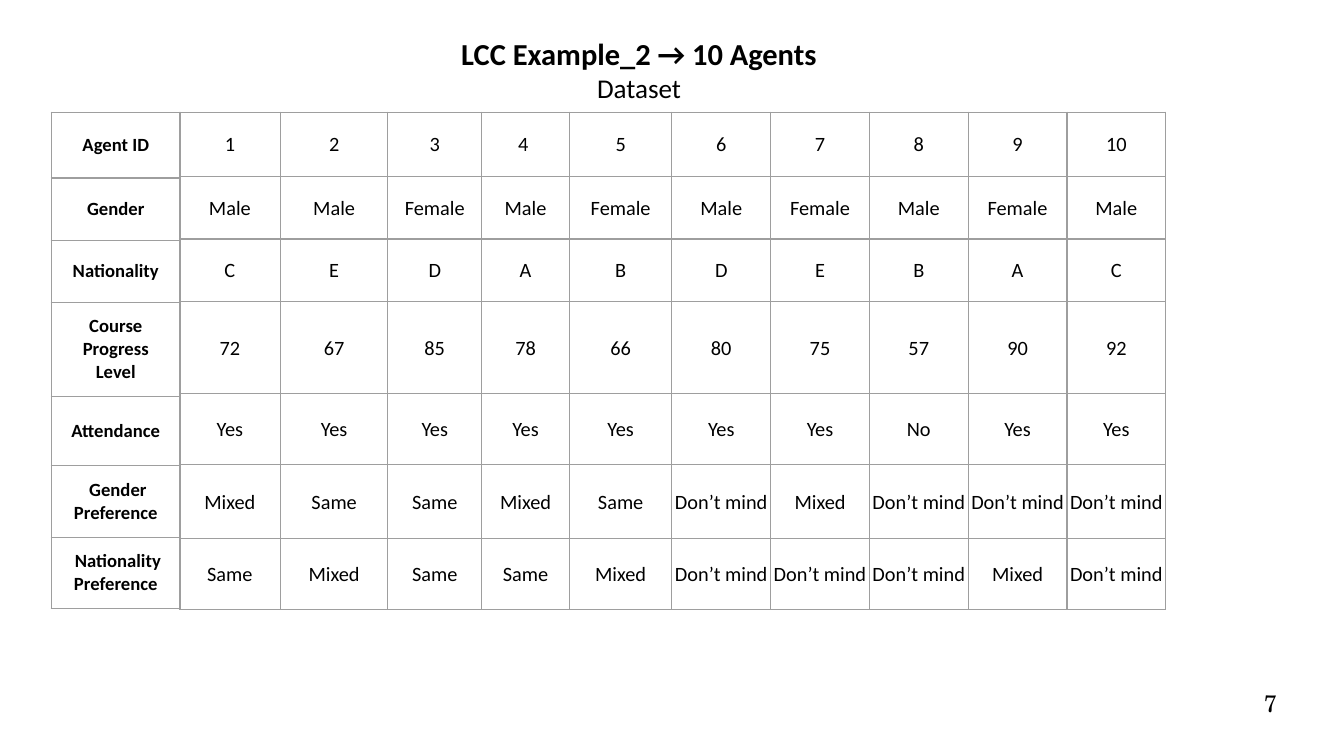
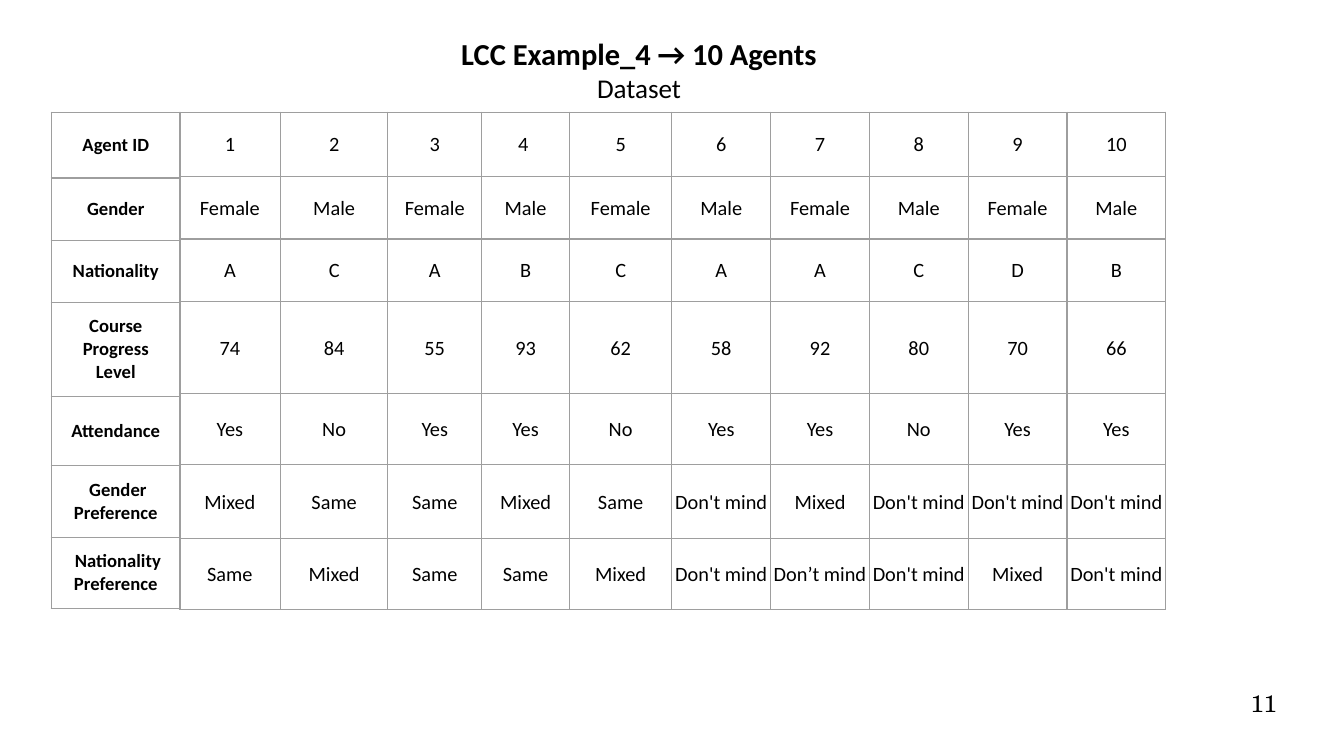
from dataclasses import dataclass

from lxml.etree import SubElement
from pptx import Presentation
from pptx.dml.color import RGBColor
from pptx.enum.text import MSO_ANCHOR, MSO_AUTO_SIZE, PP_ALIGN
from pptx.oxml.ns import qn
from pptx.shapes.base import BaseShape
from pptx.slide import Slide
from pptx.table import _Cell
from pptx.text.text import _Paragraph
from pptx.util import Emu, Inches, Pt


# Theme and page geometry
@dataclass(frozen=True)
class Theme:
    body_font: str = "Calibri"
    number_font: str = "TeX Gyre Schola"
    text: str = "000000"
    border: str = "9E9E9E"
    border_width: float = 0.75
    title_size: int = 18
    subtitle_size: int = 16
    value_size: int = 12
    label_size: int = 11
    number_size: int = 14


@dataclass(frozen=True)
class Box:
    """Left, top, width and height in percent of the slide's size."""
    left: float
    top: float
    width: float
    height: float


@dataclass(frozen=True)
class Margins:
    """Cell margins in inches."""
    left: float
    top: float
    right: float
    bottom: float


@dataclass(frozen=True)
class Grid:
    """Origin in percent of the slide; column and row tracks in inches."""
    left: float
    top: float
    columns: tuple[float, ...]
    rows: tuple[float, ...]


@dataclass(frozen=True)
class Dataset:
    title: str
    page: int
    rows: tuple[str, ...]


THEME = Theme()
WIDTH, HEIGHT = Inches(11.02), Inches(6.2)
TITLE_BOX = Box(2.54, 3.87, 90.02, 10.97)
NUMBER_BOX = Box(71.69, 91.13, 23.32, 6.94)
LABEL_GRID = Grid(3.81, 14.84, (1.06,), (0.54, 0.51, 0.51, 0.77, 0.57, 0.59, 0.58))
VALUE_GRID = Grid(13.34, 14.84, (0.83, 0.88, 0.77, 0.72, 0.84) + (0.81,) * 5,
                  (0.53, 0.51, 0.51, 0.76, 0.58, 0.61, 0.58))
WIDE_MARGINS = Margins(0.1, 0.1, 0.1, 0.1)
TIGHT_MARGINS = Margins(0.01, 0.01, 0.01, 0)

# Content
LABELS = ("Agent ID", "Gender", "Nationality", "Course Progress Level", "Attendance",
          "\u00a0Gender Preference", "\u00a0Nationality Preference")
AGENT_IDS = "1,2,3,4\u00a0,5,6,7,8,9,10"
DATASETS = (
    Dataset("LCC Example_2 → 10 Agents", 7, (
        "Male,Male,Female,Male,Female,Male,Female,Male,Female,Male",
        "C,E,D,A,B,D,E,B,A,C",
        "72,67,85,78,66,80,75,57,90,92",
        "Yes,Yes,Yes,Yes,Yes,Yes,Yes,No,Yes,Yes",
        "Mixed,Same,Same,Mixed,Same,Don’t mind,Mixed,Don’t mind,Don’t mind,Don’t mind",
        "Same,Mixed,Same,Same,Mixed,Don’t mind,Don’t mind,Don’t mind,Mixed,Don’t mind",
    )),
    Dataset("LCC Example_4 → 10 Agents", 11, (
        "Female,Male,Female,Male,Female,Male,Female,Male,Female,Male",
        "A,C,A,B,C,A,A,C,D,B",
        "74,84,55,93,62,58,92,80,70,66",
        "Yes,No,Yes,Yes,No,Yes,Yes,No,Yes,Yes",
        "Mixed,Same,Same,Mixed,Same,Don't mind,Mixed,Don't mind,Don't mind,Don't mind",
        "Same,Mixed,Same,Same,Mixed,Don't mind,Don’t mind,Don't mind,Mixed,Don't mind",
    )),
)


# Drawing helpers
def across(percent: float) -> Emu:
    return Emu(round(WIDTH * percent / 100))


def down(percent: float) -> Emu:
    return Emu(round(HEIGHT * percent / 100))


def place(shape: BaseShape, box: Box) -> None:
    shape.left, shape.top = across(box.left), down(box.top)
    shape.width, shape.height = across(box.width), down(box.height)


def write(paragraph: _Paragraph, text: str, size: int, bold: bool = False,
          font: str = THEME.body_font, align: PP_ALIGN = PP_ALIGN.CENTER) -> None:
    paragraph.text = text
    paragraph.alignment = align
    paragraph.font.name = font
    paragraph.font.size = Pt(size)
    paragraph.font.bold = bold
    paragraph.font.color.rgb = RGBColor.from_string(THEME.text)


def format_cell(cell: _Cell, margins: Margins) -> None:
    cell.vertical_anchor = MSO_ANCHOR.MIDDLE
    cell.margin_left, cell.margin_right = Inches(margins.left), Inches(margins.right)
    cell.margin_top, cell.margin_bottom = Inches(margins.top), Inches(margins.bottom)
    properties = cell._tc.get_or_add_tcPr()
    for side in ("a:lnL", "a:lnR", "a:lnT", "a:lnB"):
        line = SubElement(properties, qn(side), w=str(Pt(THEME.border_width)))
        SubElement(SubElement(line, qn("a:solidFill")), qn("a:srgbClr"), val=THEME.border)
    cell.fill.background()


def add_grid(slide: Slide, grid: Grid, rows: list[list[str]], size: int, bold: bool,
             header_margins: Margins, body_margins: Margins) -> None:
    table = slide.shapes.add_table(
        len(grid.rows), len(grid.columns), across(grid.left), down(grid.top),
        Inches(sum(grid.columns)), Inches(sum(grid.rows))).table
    table.first_row = table.horz_banding = False
    for column, width in zip(table.columns, grid.columns):
        column.width = Inches(width)
    for row, height in zip(table.rows, grid.rows):
        row.height = Inches(height)
    for row_index, values in enumerate(rows):
        for column_index, value in enumerate(values):
            cell = table.cell(row_index, column_index)
            format_cell(cell, body_margins if row_index else header_margins)
            write(cell.text_frame.paragraphs[0], value, size, bold)


def add_title(slide: Slide, title: str) -> None:
    shape = slide.shapes.title
    place(shape, TITLE_BOX)
    frame = shape.text_frame
    frame.vertical_anchor = MSO_ANCHOR.TOP
    frame.auto_size = MSO_AUTO_SIZE.SHAPE_TO_FIT_TEXT
    write(frame.paragraphs[0], title, THEME.title_size, bold=True)
    write(frame.add_paragraph(), "Dataset", THEME.subtitle_size)


def add_page_number(slide: Slide, page: int) -> None:
    shape = slide.shapes.add_textbox(0, 0, 0, 0)
    place(shape, NUMBER_BOX)
    frame = shape.text_frame
    frame.word_wrap = True
    frame.margin_left = frame.margin_top = frame.margin_right = frame.margin_bottom = 0
    write(frame.paragraphs[0], str(page), THEME.number_size,
          font=THEME.number_font, align=PP_ALIGN.RIGHT)


# Slides
presentation = Presentation()
presentation.slide_width, presentation.slide_height = WIDTH, HEIGHT
title_only = presentation.slide_layouts.get_by_name("Title Only")

for dataset in DATASETS:
    slide = presentation.slides.add_slide(title_only)
    add_page_number(slide, dataset.page)
    add_title(slide, dataset.title)
    agent_rows = [row.split(",") for row in (AGENT_IDS, *dataset.rows)]
    add_grid(slide, VALUE_GRID, agent_rows, THEME.value_size, False,
             WIDE_MARGINS, TIGHT_MARGINS)
    add_grid(slide, LABEL_GRID, [[label] for label in LABELS], THEME.label_size, True,
             WIDE_MARGINS, WIDE_MARGINS)

presentation.save("out.pptx")
